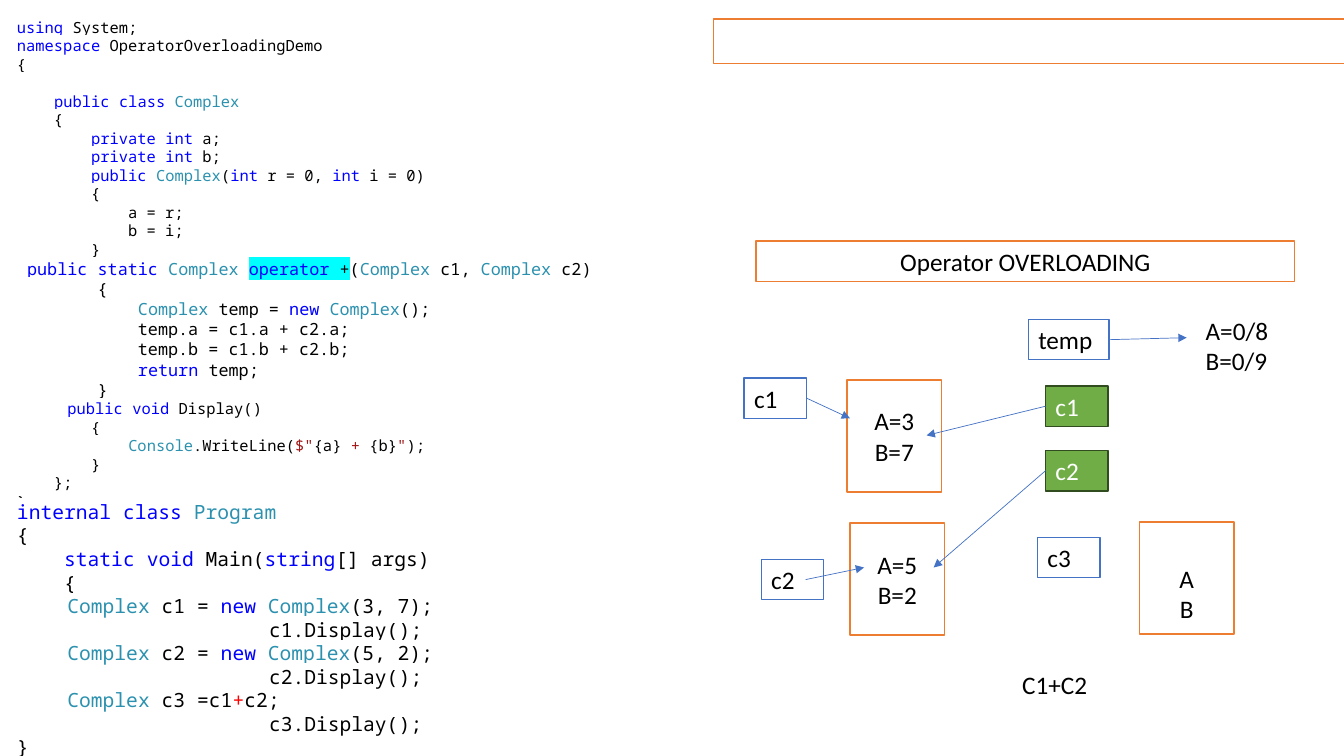
"""Build a slide that explains C# operator overloading with code and an object diagram."""
from dataclasses import dataclass
from itertools import groupby

from lxml.etree import SubElement
from pptx import Presentation
from pptx.dml.color import RGBColor
from pptx.enum.shapes import MSO_CONNECTOR as CONN, MSO_SHAPE as SHAPE
from pptx.enum.text import MSO_ANCHOR as ANCHOR, MSO_AUTO_SIZE as AUTO, PP_ALIGN as ALIGN
from pptx.oxml.ns import qn
from pptx.util import Inches, Pt


@dataclass(frozen=True)
class Theme:
    """Colours, fonts and type sizes of the slide."""
    text: str = "000000"
    white: str = "FFFFFF"
    orange: str = "ED7D31"
    blue: str = "4472C4"
    green: str = "70AD47"
    dark_green: str = "314C1F"
    keyword: str = "0000FF"
    type_name: str = "2B91AF"
    string: str = "A31515"
    accent: str = "FF0000"
    marker: str = "00FFFF"
    body_font: str = "Calibri"
    code_font: str = "Noto Sans Mono"
    body: int = 18
    code_small: int = 11
    code_operator: int = 12
    code_main: int = 14


T = Theme()
KEYWORDS = set("using namespace public private internal class static void int "
               "string new return operator".split())
TYPES = {"Complex", "Console", "Program"}
SPAN_COLORS = {"s": T.string, "r": T.accent}

CLASS_START = """using System;
namespace OperatorOverloadingDemo
{
    
    public class Complex
    {
        private int a;
        private int b;
        public Complex(int r = 0, int i = 0)
        {
            a = r;
            b = i;
        }"""
OPERATOR = """ public static Complex `hoperator +`(Complex c1, Complex c2)
        {
            Complex temp = new Complex();
            temp.a = c1.a + c2.a;
            temp.b = c1.b + c2.b;
            return temp;
        }"""
CLASS_END = """\tpublic void Display()
        {
            Console.WriteLine(`s$"`{a}`s + `{b}`s"`);
        }
    };
}"""
MAIN_CODE = """internal class Program
{
    static void Main(string[] args)
    {
\tComplex c1 = new Complex(3, 7);
\t\t\t\t\tc1.Display();
\tComplex c2 = new Complex(5, 2);
\t\t\t\t\tc2.Display();
\tComplex c3 =c1`r+`c2;
\t\t\t\t\tc3.Display();
}
}"""


def rgb(value):
    """Turn a hex string into a colour."""
    return RGBColor.from_string(value)


def set_font(font, name, size, color=None):
    """Set the typeface, size and optional colour of a font."""
    font.name, font.size = name, Pt(size)
    if color:
        font.color.rgb = rgb(color)


def paint(sp, fill, line):
    """Give a shape a solid fill and a thin outline."""
    sp.fill.solid()
    sp.fill.fore_color.rgb = rgb(fill)
    sp.line.color.rgb = rgb(line)
    sp.line.width = Pt(1)


def write(sp, text, color=T.text, align=ALIGN.LEFT, anchor=ANCHOR.TOP):
    """Write plain lines of body text into a shape."""
    tf = sp.text_frame
    tf.word_wrap, tf.vertical_anchor = True, anchor
    tf.text = text
    for p in tf.paragraphs:
        p.alignment = align
        set_font(p.font, T.body_font, T.body, color)


def add_box(s, x, y, w, h, line, fill=T.white):
    """Add an outlined rectangle."""
    sp = s.shapes.add_shape(SHAPE.RECTANGLE, Inches(x), Inches(y), Inches(w), Inches(h))
    sp.shadow.inherit = False
    paint(sp, fill, line)
    return sp


def add_object(s, x, y, text):
    """Add a box that shows the fields of an object."""
    sp = add_box(s, x, y, 0.94, 1.11, T.orange)
    write(sp, text, align=ALIGN.CENTER, anchor=ANCHOR.MIDDLE)
    return sp


def add_variable(s, x, y, text, w=0.62, line=T.blue, fill=T.white, color=T.text):
    """Add a small box that names a variable."""
    sp = add_box(s, x, y, w, 0.4, line, fill)
    write(sp, text, color)
    return sp


def add_parameter(s, x, y, text):
    """Add a green box that names an operator parameter."""
    return add_variable(s, x, y, text, line=T.dark_green, fill=T.green, color=T.white)


def add_text(s, x, y, w, h, text):
    """Add a plain label."""
    write(s.shapes.add_textbox(Inches(x), Inches(y), Inches(w), Inches(h)), text)


def add_arrow(s, start, end, source=None, side=3):
    """Add an arrow, joined at its start to a source shape if there is one."""
    cx = s.shapes.add_connector(CONN.STRAIGHT, *map(Inches, start + end))
    if source is not None:
        cx.begin_connect(source, side)
    cx.line.color.rgb = rgb(T.blue)
    cx.line.width = Pt(0.5)
    SubElement(cx.line._get_or_add_ln(), qn("a:tailEnd"), type="triangle")
    SubElement(cx._element.spPr, qn("a:effectLst"))


def add_code_run(p, text, color, highlight):
    """Add a coloured run with a highlight behind it."""
    r = p.add_run()
    r.text = text
    r.font.color.rgb = rgb(color)
    mark = SubElement(r.font._element, qn("a:highlight"))
    SubElement(mark, qn("a:srgbClr"), val=highlight)


def write_code_line(p, line, size):
    """Colour a line by its words; backticks enclose specially styled spans."""
    for i, piece in enumerate(line.split("`")):
        style, text = (piece[0], piece[1:]) if i % 2 else ("", piece)
        highlight = T.marker if style == "h" else T.white
        if style in SPAN_COLORS:
            add_code_run(p, text, SPAN_COLORS[style], highlight)
            continue
        for _, chars in groupby(text, str.isalnum):
            word = "".join(chars)
            color = (T.keyword if word in KEYWORDS
                     else T.type_name if word in TYPES else T.text)
            add_code_run(p, word, color, highlight)
    set_font(p.font, T.code_font, size)


def add_code(s, x, y, w, h, blocks):
    """Add a listing made of (source, type size) blocks."""
    tf = s.shapes.add_textbox(Inches(x), Inches(y), Inches(w), Inches(h)).text_frame
    tf.word_wrap, tf.auto_size = True, AUTO.SHAPE_TO_FIT_TEXT
    lines = [(line, size) for code, size in blocks for line in code.split("\n")]
    for i, (line, size) in enumerate(lines):
        write_code_line(tf.add_paragraph() if i else tf.paragraphs[0], line, size)


def add_title(s, text):
    """Place the title in its outlined frame."""
    sp = s.shapes.title
    sp.left, sp.top, sp.width, sp.height = map(Inches, (7.5, 2.39, 5.34, 0.4))
    paint(sp, T.white, T.orange)
    write(sp, text, align=ALIGN.CENTER)
    sp.text_frame.auto_size = AUTO.NONE


def main():
    """Build and save the slide."""
    prs = Presentation()
    prs.slide_width, prs.slide_height = Inches(13.33), Inches(7.5)
    s = prs.slides.add_slide(prs.slide_layouts[5])

    add_code(s, 0.07, 0.13, 6.67, 5.03, [(CLASS_START, T.code_small),
                                         (OPERATOR, T.code_operator),
                                         (CLASS_END, T.code_small)])
    add_box(s, 7.08, 0.19, 6.67, 0.44, T.orange)
    add_code(s, 0.07, 4.91, 9.35, 2.93, [(MAIN_CODE, T.code_main)])
    add_title(s, "Operator OVERLOADING")

    add_object(s, 8.43, 5.19, "A=5\nB=2")
    add_object(s, 8.4, 3.77, "A=3\nB=7")
    result = add_object(s, 11.3, 5.18, "A\nB")
    result.text_frame.margin_top = Inches(0.35)

    c1 = add_variable(s, 7.38, 3.75, "c1")
    add_variable(s, 7.55, 5.55, "c2")
    add_variable(s, 10.29, 5.33, "c3")
    temp = add_variable(s, 10.2, 3.17, "temp", w=0.8)
    first = add_parameter(s, 10.37, 3.83, "c1")
    second = add_parameter(s, 10.37, 4.47, "c2")

    add_arrow(s, (8, 3.95), (8.43, 4.15), c1)
    add_arrow(s, (7.99, 5.75), (8.57, 5.63))
    add_arrow(s, (11, 3.37), (11.77, 3.35), temp)
    add_arrow(s, (10.37, 4.03), (9.19, 4.32), first, side=1)
    add_arrow(s, (10.37, 4.67), (9.26, 5.63), second, side=1)

    add_text(s, 11.86, 3.08, 1.24, 0.71, "A=0/8\nB=0/9")
    add_text(s, 10.04, 6.59, 3.06, 0.4, "C1+C2")
    prs.save("out.pptx")


if __name__ == "__main__":
    main()
